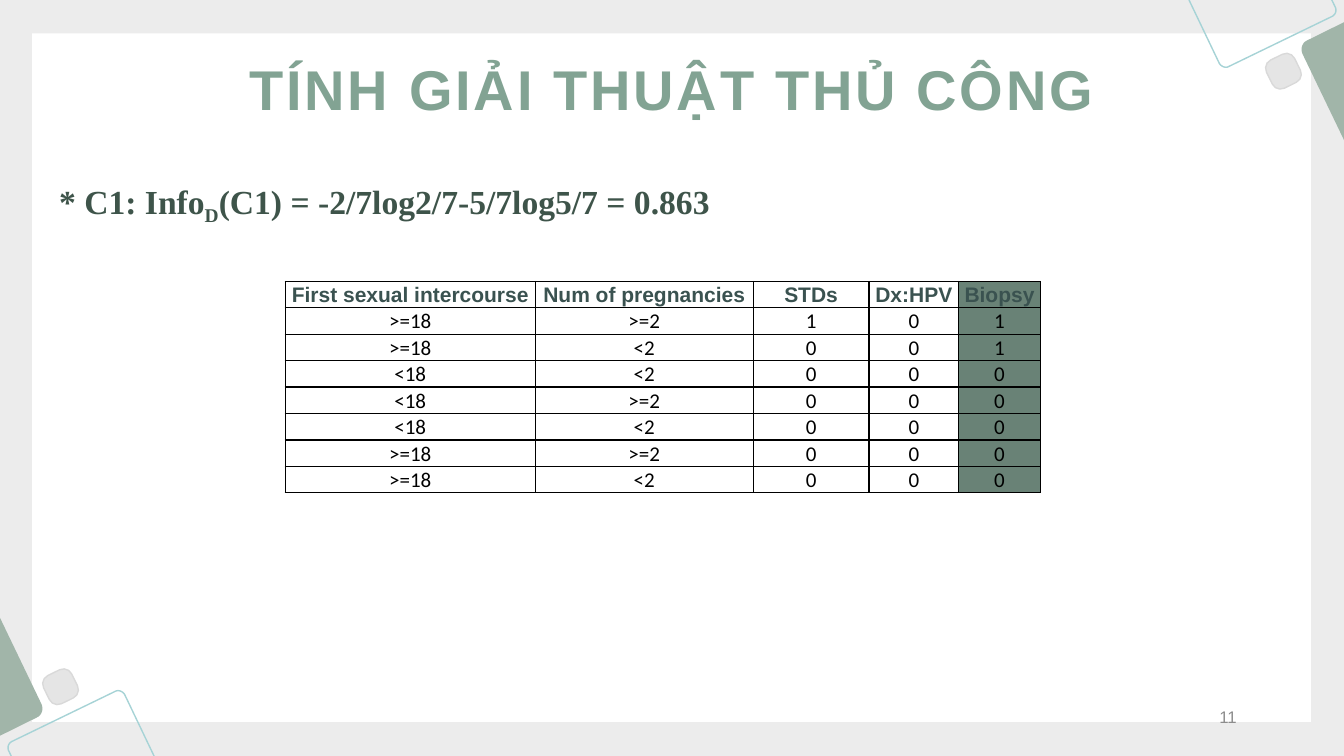
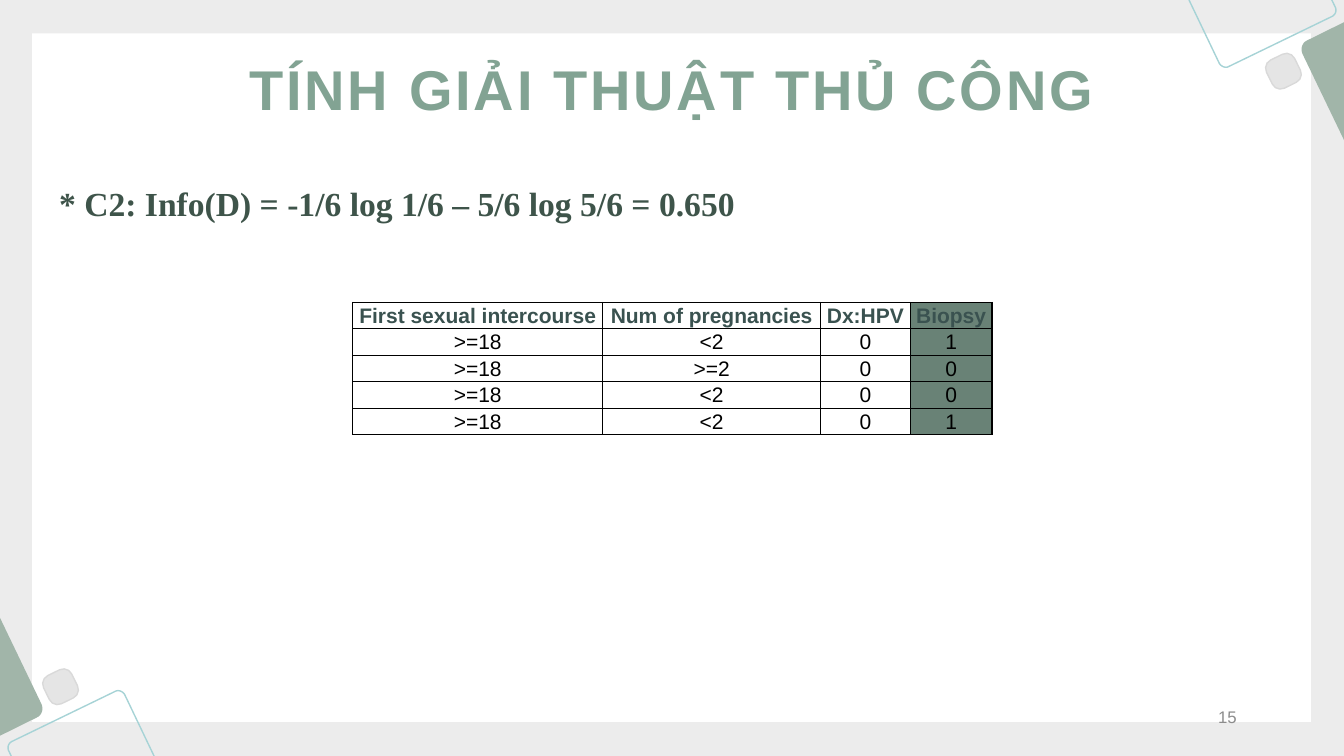
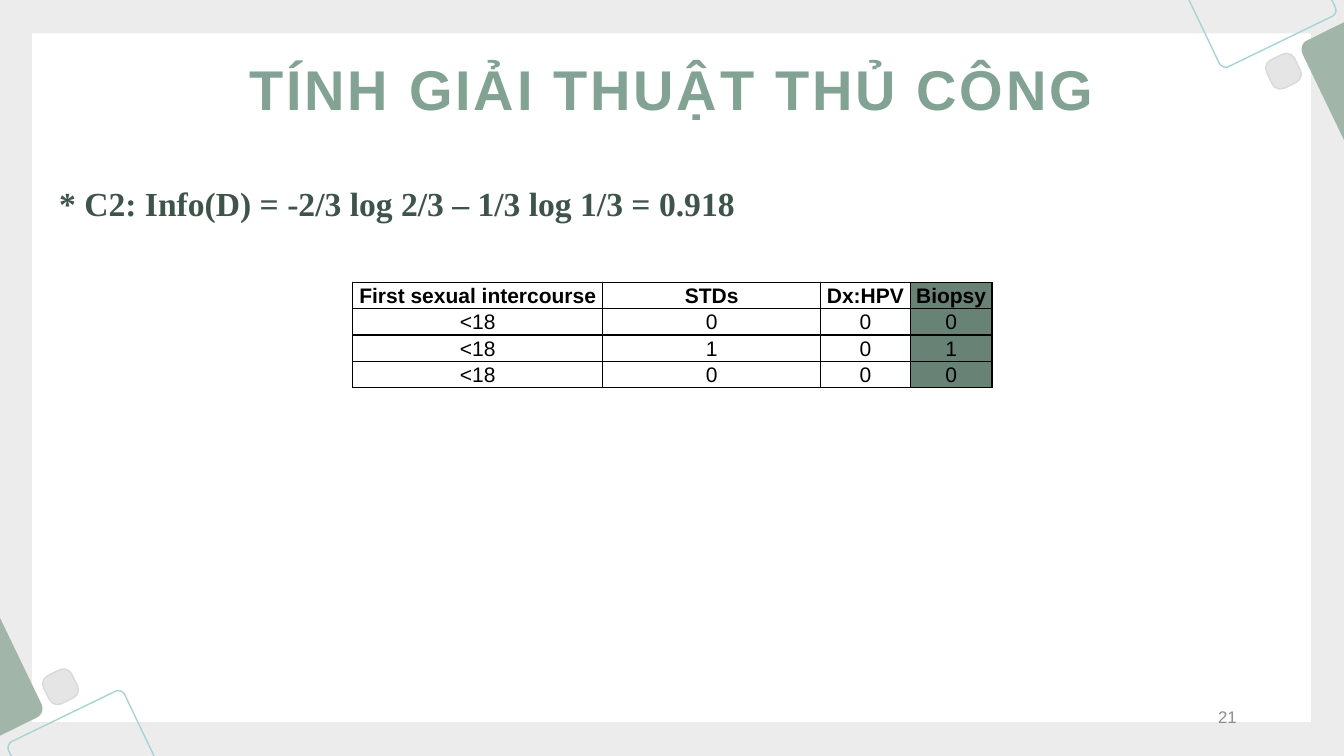
"""Build three slides that work through the entropy of C1 and C2 by hand."""
from lxml.etree import SubElement
from pptx import Presentation
from pptx.dml.color import RGBColor
from pptx.enum.shapes import MSO_SHAPE as Preset
from pptx.enum.text import MSO_ANCHOR as Anchor, PP_ALIGN as Align
from pptx.oxml.ns import qn
from pptx.util import Cm, Pt

COLORS = {
    "backdrop": "ECECEC", "panel": "FFFFFF", "outline": "A6D3D6",
    "tile": "A1B5A9", "chip": "E5E5E5", "chip_edge": "D9D9D9",
    "title": "82A393", "formula": "3E544A", "header": "3A5250",
    "target": "698276", "black": "000000", "number": "8C8C8C",
}
SLIDE_WIDTH, SLIDE_HEIGHT = 33.87, 19.05
MIRROR_X, MIRROR_Y = 33.87, 19.1
TITLE = "TÍNH GIẢI THUẬT THỦ CÔNG"
ROW_HEIGHT = 0.66
NARROW_COLUMNS = [6.3, 5.49, 2.26, 2.06]
WIDE_COLUMNS = [6.3, 5.49, 2.92, 2.26, 2.06]

FRAME_PATH = [
    [(33.55, -0.03)],
    [(33.66, 0.2)],
    [(33.68, 0.28), (33.66, 0.36), (33.58, 0.41)],
    [(30.96, 1.68)],
    [(30.89, 1.72), (30.78, 1.68), (30.73, 1.6)],
    [(29.95, -0.03)],
]
TILE_PATH = [
    [(33.87, 0.56)],
    [(33.87, 3.53)],
    [(32.82, 1.35)],
    [(32.77, 1.22), (32.82, 1.07), (32.94, 1.02)],
]


def color(name):
    return RGBColor.from_string(COLORS[name])


def paint(shape, fill=None, line=None):
    shape.shadow.inherit = False
    if fill:
        shape.fill.solid()
        shape.fill.fore_color.rgb = color(fill)
    else:
        shape.fill.background()
    if line:
        shape.line.color.rgb = color(line)
        shape.line.width = Pt(1)
    else:
        shape.line.fill.background()


def style_font(font, name, size, color_name, bold=False):
    font.name = name
    font.size = Pt(size)
    font.bold = bold
    font.color.rgb = color(color_name)


def flatten(path, steps=8):
    points = []
    for segment in path:
        if len(segment) == 1:
            points += segment
            continue
        controls = [points[-1], *segment]
        for step in range(1, steps + 1):
            t = step / steps
            weights = [(1 - t) ** 3, 3 * t * (1 - t) ** 2, 3 * t ** 2 * (1 - t), t ** 3]
            points.append(tuple(
                sum(weight * point[axis] for weight, point in zip(weights, controls))
                for axis in (0, 1)))
    return points


def add_outline(slide, path, mirrored, closed, **paints):
    points = flatten(path)
    if mirrored:
        points = [(MIRROR_X - x, MIRROR_Y - y) for x, y in points]
    points = [(Cm(x), Cm(y)) for x, y in points]
    builder = slide.shapes.build_freeform(*points[0], scale=1.0)
    builder.add_line_segments(points[1:], close=closed)
    paint(builder.convert_to_shape(), **paints)


def add_corner(slide, mirrored):
    add_outline(slide, FRAME_PATH, mirrored, closed=False, line="outline")
    add_outline(slide, TILE_PATH, mirrored, closed=True, fill="tile")
    size, left, top = 0.79, 31.95, 1.4
    if mirrored:
        left, top = MIRROR_X - left - size, MIRROR_Y - top - size
    chip = slide.shapes.add_shape(
        Preset.ROUNDED_RECTANGLE, Cm(left), Cm(top), Cm(size), Cm(size))
    chip.adjustments[0] = 0.29
    chip.rotation = 154 if mirrored else 334
    paint(chip, fill="chip", line="chip_edge")


def add_text(slide, area, spans, align, *font):
    box = slide.shapes.add_textbox(*map(Cm, area))
    frame = box.text_frame
    frame.word_wrap = True
    frame.vertical_anchor = Anchor.MIDDLE
    para = frame.paragraphs[0]
    para.alignment = align
    style_font(para.font, *font)
    for text, attributes in spans:
        span = para.add_run()
        span.text = text
        properties = span._r.get_or_add_rPr()
        for key, value in attributes.items():
            properties.set(key, value)


def add_borders(cell):
    properties = cell._tc.get_or_add_tcPr()
    for side in ("lnL", "lnR", "lnT", "lnB"):
        border = SubElement(properties, qn(f"a:{side}"), w=str(Pt(1)))
        solid = SubElement(border, qn("a:solidFill"))
        SubElement(solid, qn("a:srgbClr"), val=COLORS["black"])


def fill_cell(cell, text, fill, anchor, *font):
    add_borders(cell)
    cell.fill.solid()
    cell.fill.fore_color.rgb = color(fill)
    cell.margin_left = cell.margin_right = cell.margin_top = Cm(0.03)
    cell.margin_bottom = 0
    cell.vertical_anchor = anchor
    para = cell.text_frame.paragraphs[0]
    para.text = text
    para.alignment = Align.CENTER
    style_font(para.font, *font)


def add_data_table(slide, left, top, widths, rows, header_color="header",
                   body_font="Arial", body_anchor=Anchor.MIDDLE):
    table = slide.shapes.add_table(
        len(rows), len(widths), Cm(left), Cm(top),
        Cm(sum(widths)), Cm(ROW_HEIGHT * len(rows))).table
    table.first_row = table.horz_banding = False
    for column, width in zip(table.columns, widths):
        column.width = Cm(width)
    for row_index, values in enumerate(rows):
        table.rows[row_index].height = Cm(ROW_HEIGHT)
        if row_index == 0:
            style = (Anchor.MIDDLE, "Arial", 15, header_color, True)
        else:
            style = (body_anchor, body_font, 15, "black")
        for column_index, value in enumerate(values):
            fill = "target" if column_index == len(widths) - 1 else "panel"
            fill_cell(table.cell(row_index, column_index), value, fill, *style)


def add_page(deck, number, formula):
    slide = deck.slides.add_slide(deck.slide_layouts[6])
    slide.background.fill.solid()
    slide.background.fill.fore_color.rgb = color("backdrop")
    panel = slide.shapes.add_shape(
        Preset.RECTANGLE, Cm(0.81), Cm(0.84), Cm(32.23), Cm(17.35))
    paint(panel, fill="panel")
    for mirrored in (False, True):
        add_corner(slide, mirrored)
    add_text(slide, (3.56, 0.74, 26.75, 2.95), [(TITLE, {"spc": "200"})],
             Align.CENTER, "Arial", 40, "title", True)
    add_text(slide, (1.24, 3.84, 30.89, 2.57), formula,
             Align.LEFT, "Times New Roman", 24, "formula", True)
    add_text(slide, (23.93, 17.63, 7.49, 0.89), [(str(number), {})],
             Align.RIGHT, "Arial", 12, "number")
    return slide


def main():
    deck = Presentation()
    deck.slide_width, deck.slide_height = Cm(SLIDE_WIDTH), Cm(SLIDE_HEIGHT)

    page = add_page(deck, 11, [
        ("* C1: Info", {}), ("D", {"baseline": "-25000"}),
        ("(C1) = -2/7log2/7-5/7log5/7 = 0.863", {})])
    add_data_table(page, 7.19, 7.09, WIDE_COLUMNS, [
        ("First sexual intercourse", "Num of pregnancies", "STDs", "Dx:HPV", "Biopsy"),
        (">=18", ">=2", "1", "0", "1"),
        (">=18", "<2", "0", "0", "1"),
        ("<18", "<2", "0", "0", "0"),
        ("<18", ">=2", "0", "0", "0"),
        ("<18", "<2", "0", "0", "0"),
        (">=18", ">=2", "0", "0", "0"),
        (">=18", "<2", "0", "0", "0"),
    ], body_font="Calibri", body_anchor=Anchor.BOTTOM)

    page = add_page(deck, 15, [
        ("* C2: Info(D) = -1/6 log 1/6 – 5/6 log 5/6 = 0.650", {})])
    add_data_table(page, 8.89, 7.62, NARROW_COLUMNS, [
        ("First sexual intercourse", "Num of pregnancies", "Dx:HPV", "Biopsy"),
        (">=18", "<2", "0", "1"),
        (">=18", ">=2", "0", "0"),
        (">=18", "<2", "0", "0"),
        (">=18", "<2", "0", "1"),
    ])

    page = add_page(deck, 21, [
        ("* C2: Info(D) = -2/3 log 2/3 – 1/3 log 1/3 = 0.918", {})])
    add_data_table(page, 8.89, 7.11, NARROW_COLUMNS, [
        ("First sexual intercourse", "STDs", "Dx:HPV", "Biopsy"),
        ("<18", "0", "0", "0"),
        ("<18", "1", "0", "1"),
        ("<18", "0", "0", "0"),
    ], header_color="black")

    deck.save("out.pptx")


if __name__ == "__main__":
    main()
